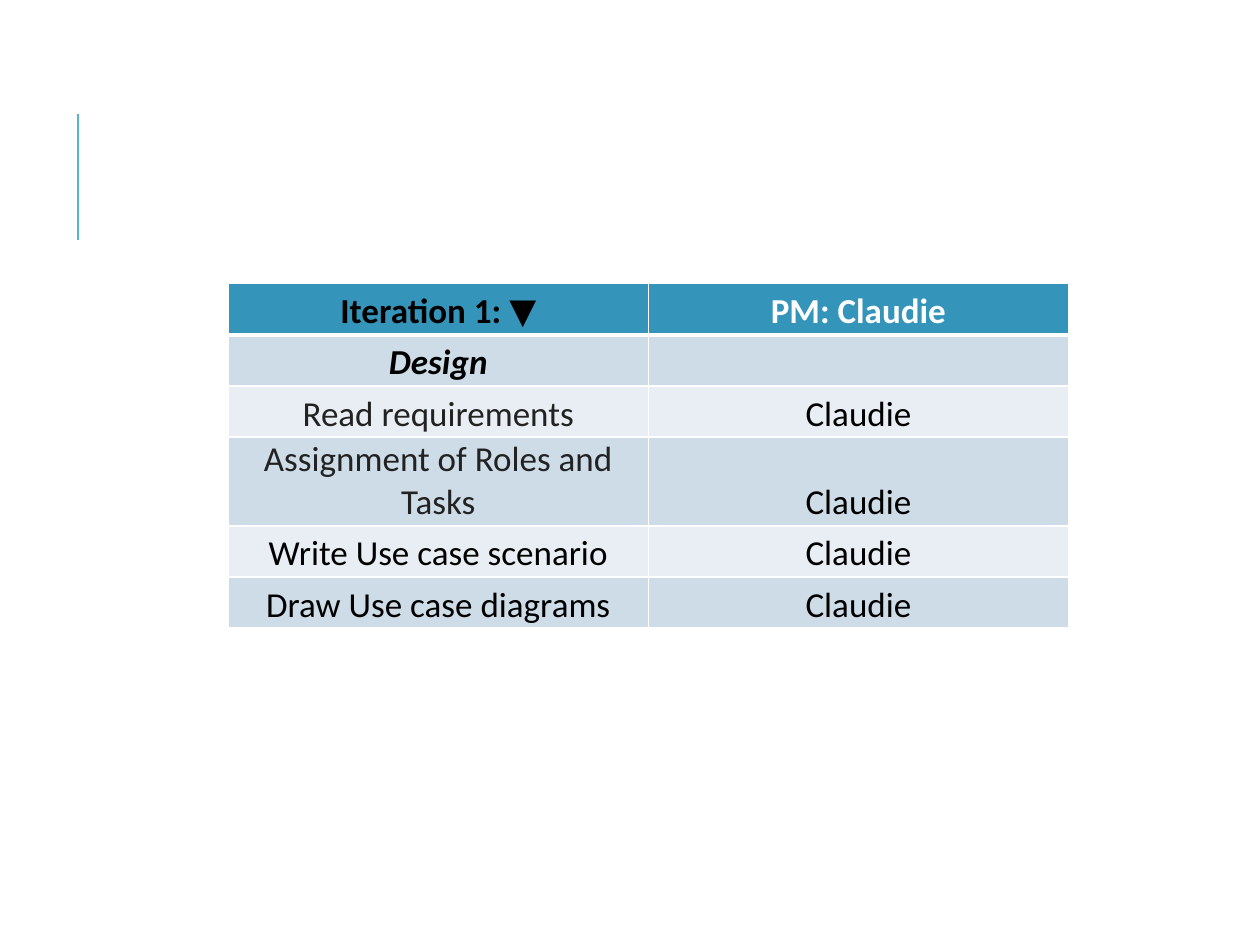
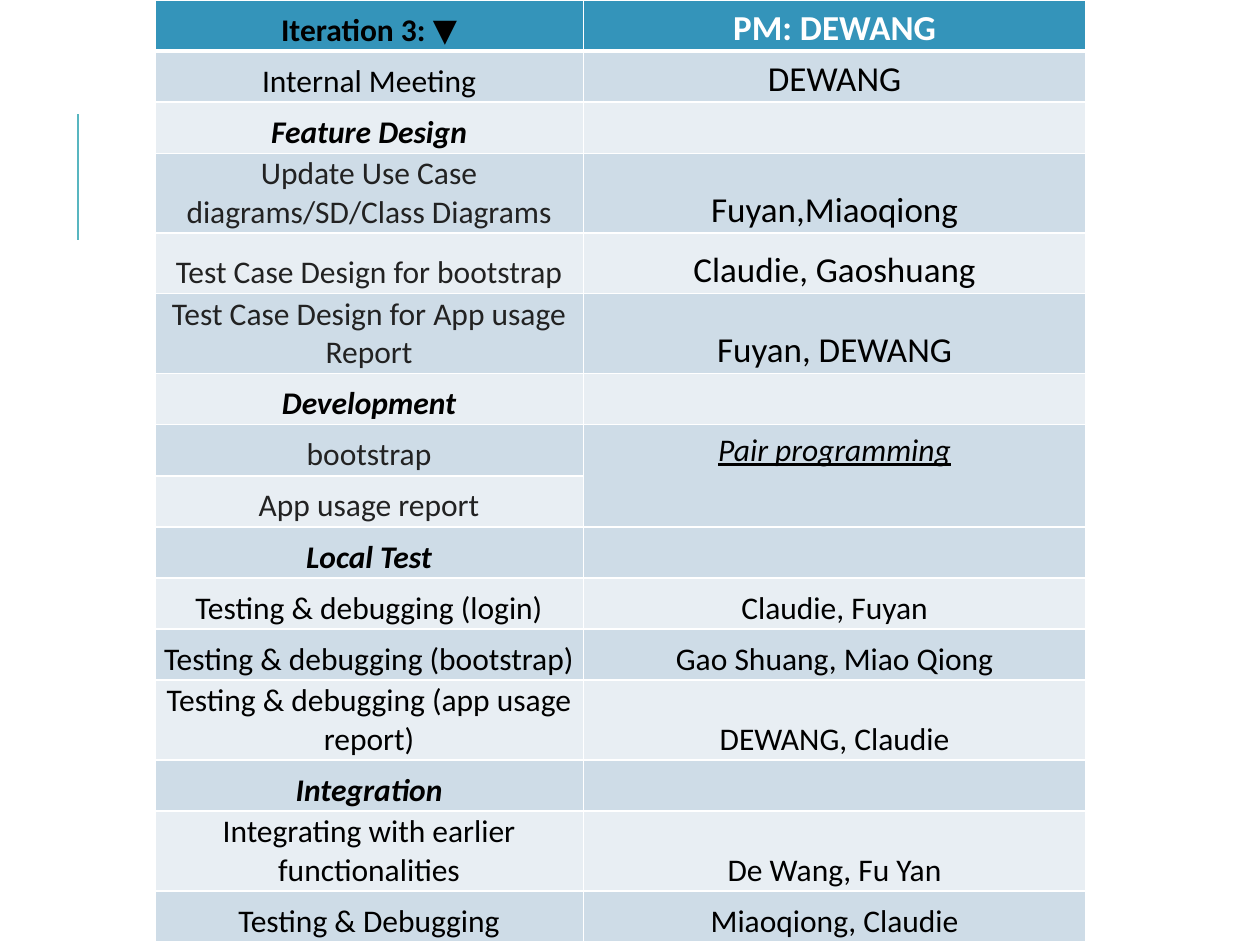
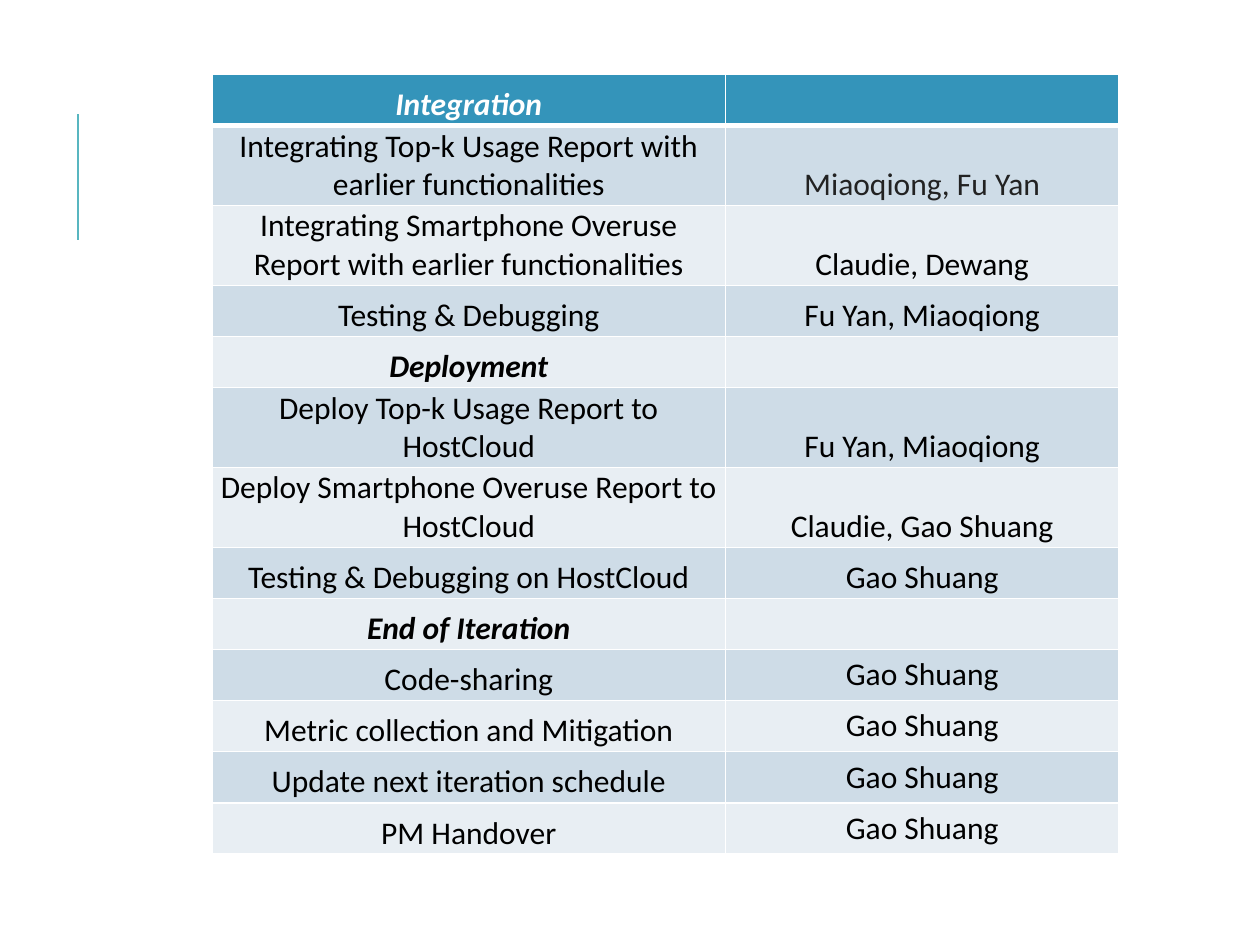
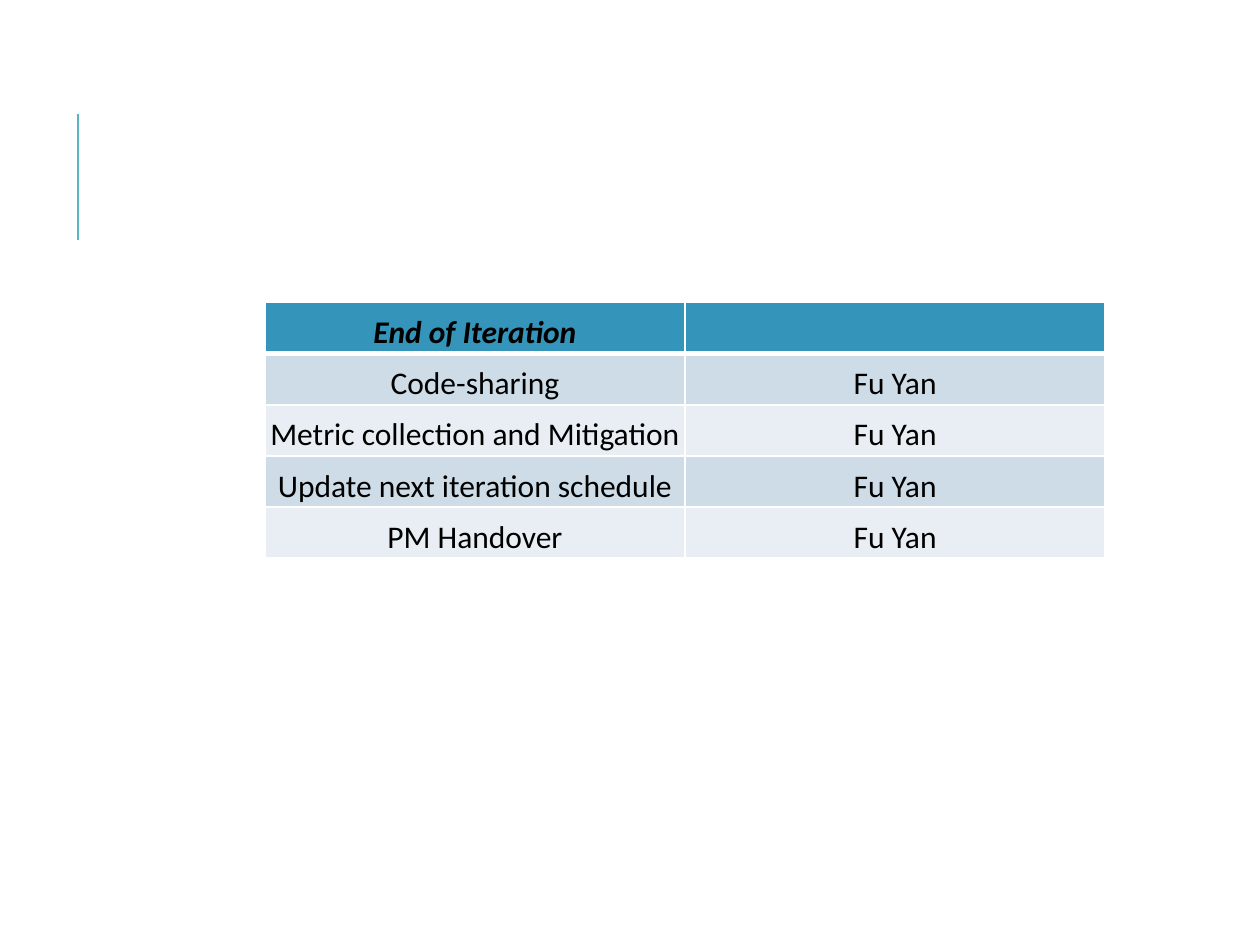
from lxml.etree import SubElement
from pptx import Presentation
from pptx.dml.color import RGBColor
from pptx.enum.shapes import MSO_CONNECTOR
from pptx.enum.text import MSO_ANCHOR, PP_ALIGN
from pptx.oxml.ns import qn
from pptx.util import Cm, Pt

FONT = "Calibri"
WHITE, BLACK, GREY = "FFFFFF", "000000", "222222"
ACCENT, HEADER = "58B6C0", "3494BA"
BANDS = ("E8EEF3", "CEDCE7")
ROW_HEIGHT = 1.03

ITERATION_1 = [
    ("Iteration 1: ▼", "PM: Claudie"),
    ("Design", ""),
    ("Read requirements", "Claudie"),
    ("Assignment of Roles and Tasks", "Claudie"),
    ("Write Use case scenario", "Claudie"),
    ("Draw Use case diagrams", "Claudie"),
]
ITERATION_3 = [
    ("Iteration 3: ▼", "PM: DEWANG"),
    ("Internal Meeting", "DEWANG"),
    ("Feature Design", ""),
    ("Update Use Case diagrams/SD/Class Diagrams", "Fuyan,Miaoqiong"),
    ("Test Case Design for bootstrap", "Claudie, Gaoshuang"),
    ("Test Case Design for App usage Report", "Fuyan, DEWANG"),
    ("Development", ""),
    ("bootstrap", "Pair programming"),
    ("App usage report", None),
    ("Local Test", ""),
    ("Testing & debugging (login)", "Claudie, Fuyan"),
    ("Testing & debugging (bootstrap)", "Gao Shuang, Miao Qiong"),
    ("Testing & debugging (app usage report)", "DEWANG, Claudie"),
    ("Integration", ""),
    ("Integrating with earlier functionalities", "De Wang, Fu Yan"),
    ("Testing & Debugging", "Miaoqiong, Claudie"),
]
CLOSING_TASKS = ("Code-sharing", "Metric collection and Mitigation",
                 "Update next iteration schedule", "PM Handover")


def closing_rows(owner):
    return [("End of Iteration", "")] + [(task, owner) for task in CLOSING_TASKS]


INTEGRATION = [
    ("Integration", ""),
    ("Integrating Top-k Usage Report with earlier functionalities", "Miaoqiong, Fu Yan"),
    ("Integrating Smartphone Overuse Report with earlier functionalities", "Claudie, Dewang"),
    ("Testing & Debugging", "Fu Yan, Miaoqiong"),
    ("Deployment", ""),
    ("Deploy Top-k Usage Report to HostCloud", "Fu Yan, Miaoqiong"),
    ("Deploy Smartphone Overuse Report to HostCloud", "Claudie, Gao Shuang"),
    ("Testing & Debugging on HostCloud", "Gao Shuang"),
] + closing_rows("Gao Shuang")


def color(value):
    return RGBColor.from_string(value)


class ScheduleDeck:
    def __init__(self):
        self.deck = Presentation()
        self.deck.slide_width, self.deck.slide_height = Cm(25.4), Cm(19.05)
        self.slide = None

    def new_slide(self):
        self.slide = self.deck.slides.add_slide(self.deck.slide_layouts[6])
        self.accent_line(1.57, 4.83, 2.29)

    def accent_line(self, x, start, end):
        line = self.slide.shapes.add_connector(
            MSO_CONNECTOR.STRAIGHT, Cm(x), Cm(start), Cm(x), Cm(end))
        line.line.color.rgb = color(ACCENT)
        line.line.width = Pt(1.5)
        SubElement(line._element.spPr, qn("a:effectLst"))

    def schedule(self, left, top, widths, rows, size=18, header_colors=(BLACK, WHITE),
                 heights=None, grey=(), large=(), top_cells=()):
        """Add a table of tasks and owners; grey, large and top_cells hold (row, column) pairs."""
        heights = heights or {}
        frame = self.slide.shapes.add_table(
            len(rows), len(widths), Cm(left), Cm(top),
            Cm(sum(widths)), Cm(ROW_HEIGHT * len(rows)))
        table = frame.table
        for column, width in zip(table.columns, widths):
            column.width = Cm(width)
        for r, texts in enumerate(rows):
            table.rows[r].height = Cm(heights.get(r, ROW_HEIGHT))
            for c, text in enumerate(texts):
                cell = table.cell(r, c)
                self.borders(cell, r)
                cell.fill.solid()
                cell.fill.fore_color.rgb = color(BANDS[r % 2] if r else HEADER)
                if not text:
                    continue
                if (r, c) not in top_cells:
                    self.tighten(cell)
                ink = header_colors[c] if r == 0 else GREY if (r, c) in grey else BLACK
                section = texts[1] == ""
                self.cell_text(cell, text, 20 if (r, c) in large else size, ink,
                               bold=section or r == 0, italic=section)
        return table

    def borders(self, cell, row):
        properties = cell._tc.get_or_add_tcPr()
        thick = {0: "lnB", 1: "lnT"}.get(row)
        for side in ("lnL", "lnR", "lnT", "lnB"):
            line = SubElement(properties, qn(f"a:{side}"), w=str(Pt(3 if side == thick else 1)))
            fill = SubElement(line, qn("a:solidFill"))
            SubElement(fill, qn("a:srgbClr"), val=WHITE)

    def tighten(self, cell):
        """Set text on the bottom of the cell with hardly any margin."""
        cell.vertical_anchor = MSO_ANCHOR.BOTTOM
        cell.margin_left = cell.margin_right = Cm(0.05)
        cell.margin_top = cell.margin_bottom = Cm(0.03)

    def cell_text(self, cell, text, size, ink, bold, italic):
        para = cell.text_frame.paragraphs[0]
        para.text = text
        para.alignment = PP_ALIGN.CENTER
        font = para.runs[0].font
        font.name, font.size = FONT, Pt(size)
        font.bold, font.italic = bold, italic
        font.color.rgb = color(ink)


def main():
    show = ScheduleDeck()

    show.new_slide()
    show.schedule(4.6, 5.72, (8.47, 8.47), ITERATION_1, size=20, grey={(2, 0), (3, 0)})

    show.new_slide()
    table = show.schedule(
        3.12, 0, (8.64, 10.13), ITERATION_3,
        heights={3: 1.4, 4: 1.22, 5: 1.4},
        grey={(row, 0) for row in (3, 4, 5, 7, 8)},
        large={(row, 1) for row in range(6)},
        top_cells={(7, 1)})
    pair_cell = table.cell(7, 1)
    pair_cell.merge(table.cell(8, 1))
    pair_font = pair_cell.text_frame.paragraphs[0].runs[0].font
    pair_font.italic = pair_font.underline = True

    show.new_slide()
    show.schedule(4.27, 1.5, (10.36, 7.92), INTEGRATION, header_colors=(WHITE, WHITE),
                  grey={(1, 1)}, top_cells={(row, 1) for row in range(9, 13)})

    show.new_slide()
    show.schedule(5.34, 6.1, (8.47, 8.47), closing_rows("Fu Yan"))

    show.deck.save("out.pptx")


if __name__ == "__main__":
    main()
